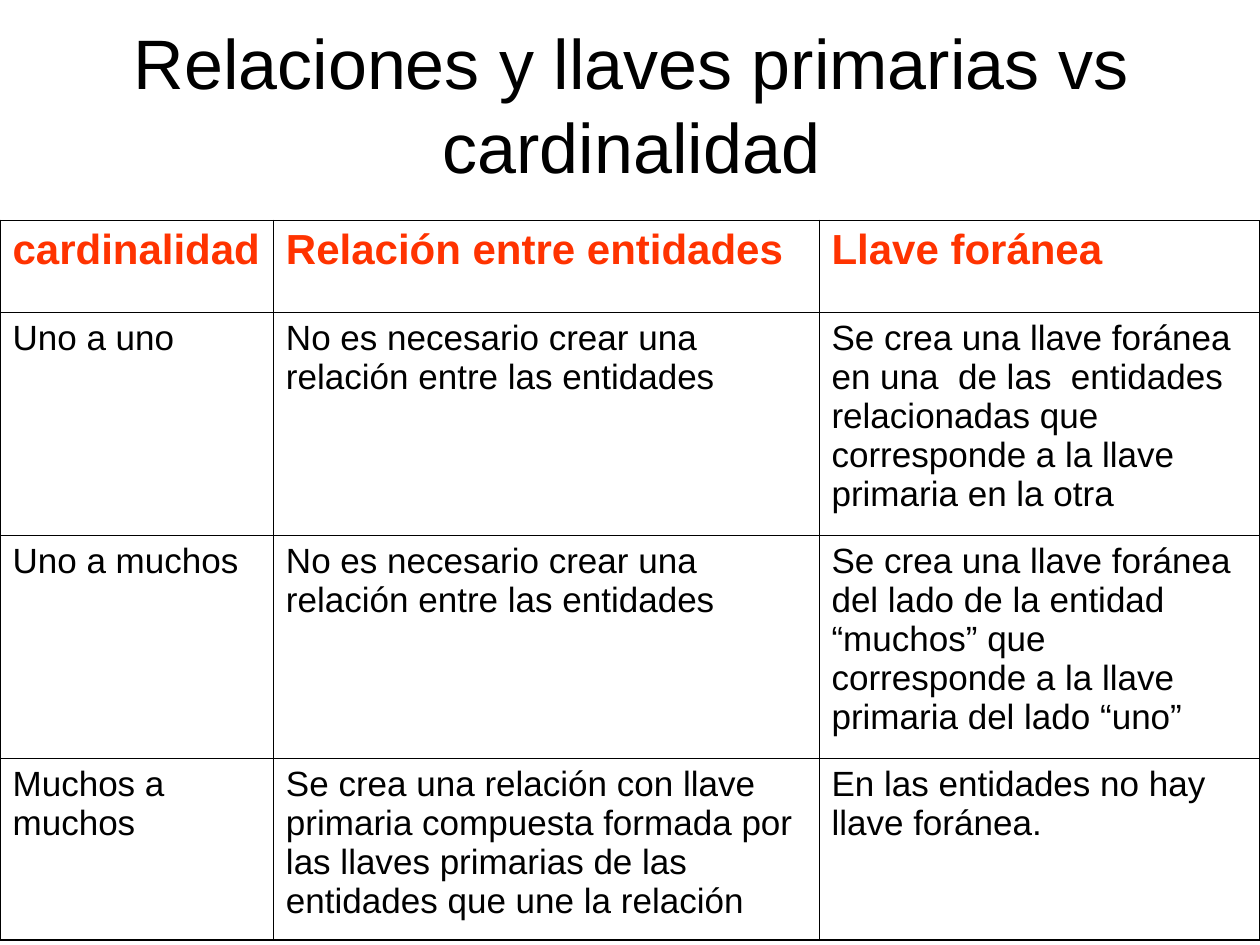
"""Build a slide with a table of cardinality, relations and foreign keys."""
import pptx
import pptx.dml.color
import pptx.enum.text
import pptx.oxml
import pptx.oxml.ns
import pptx.util

Inches = pptx.util.Inches
Pt = pptx.util.Pt
COLORS = {"text": "000000", "header": "FF3300", "border": "000000"}
FORMATS = {
    "title": {"name": "Arial", "size": Pt(40), "bold": False},
    "header": {"name": "Arial", "size": Pt(24), "bold": True},
    "body": {"name": "Arial", "size": Pt(20), "bold": False},
}
WIDTHS = [2.17, 4.33, 3.5]
HEIGHTS = [0.73, 1.77, 1.77, 1.44]
ROWS = [
    ["cardinalidad", "Relación entre entidades", "Llave foránea"],
    ["Uno a uno", "No es necesario crear una relación entre las entidades",
     "Se crea una llave foránea  en una  de las  entidades relacionadas que "
     "corresponde a la llave primaria en la otra"],
    ["Uno a muchos", "No es necesario crear una relación entre las entidades",
     "Se crea una llave foránea del lado de la entidad “muchos” que "
     "corresponde a la llave primaria del lado “uno”"],
    ["Muchos a muchos",
     "Se crea una relación con llave primaria compuesta formada por las llaves "
     "primarias de las entidades que une la relación",
     "En las entidades no hay llave foránea."],
]


def write(para, text, style, color):
    span = para.add_run()
    span.text = text
    for name, value in FORMATS[style].items():
        setattr(span.font, name, value)
    span.font.color.rgb = pptx.dml.color.RGBColor.from_string(COLORS[color])


def add_border(cell, side, points):
    line = pptx.oxml.parse_xml(
        f'<a:{side} {pptx.oxml.ns.nsdecls("a")} w="{int(Pt(points))}">'
        f'<a:solidFill><a:srgbClr val="{COLORS["border"]}"/></a:solidFill>'
        f'</a:{side}>')
    cell._tc.get_or_add_tcPr().append(line)


deck = pptx.Presentation()
deck.slide_width, deck.slide_height = Inches(10), Inches(7.5)
page = deck.slides.add_slide(deck.slide_layouts[5])

title = page.shapes.title
title.left, title.top = Inches(0.51), Inches(0.2)
title.width, title.height = Inches(9), Inches(1.25)
title.text_frame.word_wrap = True
title.text_frame.auto_size = pptx.enum.text.MSO_AUTO_SIZE.NONE
title.text_frame.vertical_anchor = pptx.enum.text.MSO_ANCHOR.MIDDLE
title_para = title.text_frame.paragraphs[0]
title_para.alignment = pptx.enum.text.PP_ALIGN.CENTER
write(title_para, "Relaciones y llaves primarias vs cardinalidad", "title", "text")

table = page.shapes.add_table(
    len(ROWS), len(WIDTHS), Inches(0), Inches(1.75),
    Inches(sum(WIDTHS)), Inches(sum(HEIGHTS))).table
table.first_row = table.horz_banding = False
for column, width in zip(table.columns, WIDTHS):
    column.width = Inches(width)

last_row, last_column = len(ROWS) - 1, len(WIDTHS) - 1
for r, (texts, height) in enumerate(zip(ROWS, HEIGHTS)):
    table.rows[r].height = Inches(height)
    style, color, space = ("body", "text", 5) if r else ("header", "header", 6)
    for c, text in enumerate(texts):
        cell = table.cell(r, c)
        cell.margin_right = Inches(0.09)
        para = cell.text_frame.paragraphs[0]
        para.space_before = Pt(space)
        write(para, text, style, color)
        outer_sides = {"lnL": c == 0, "lnR": c == last_column,
                       "lnT": r == 0, "lnB": r == last_row}
        for side, outer in outer_sides.items():
            add_border(cell, side, 1.08 if outer else 0.45)
        cell.fill.background()

deck.save("out.pptx")
